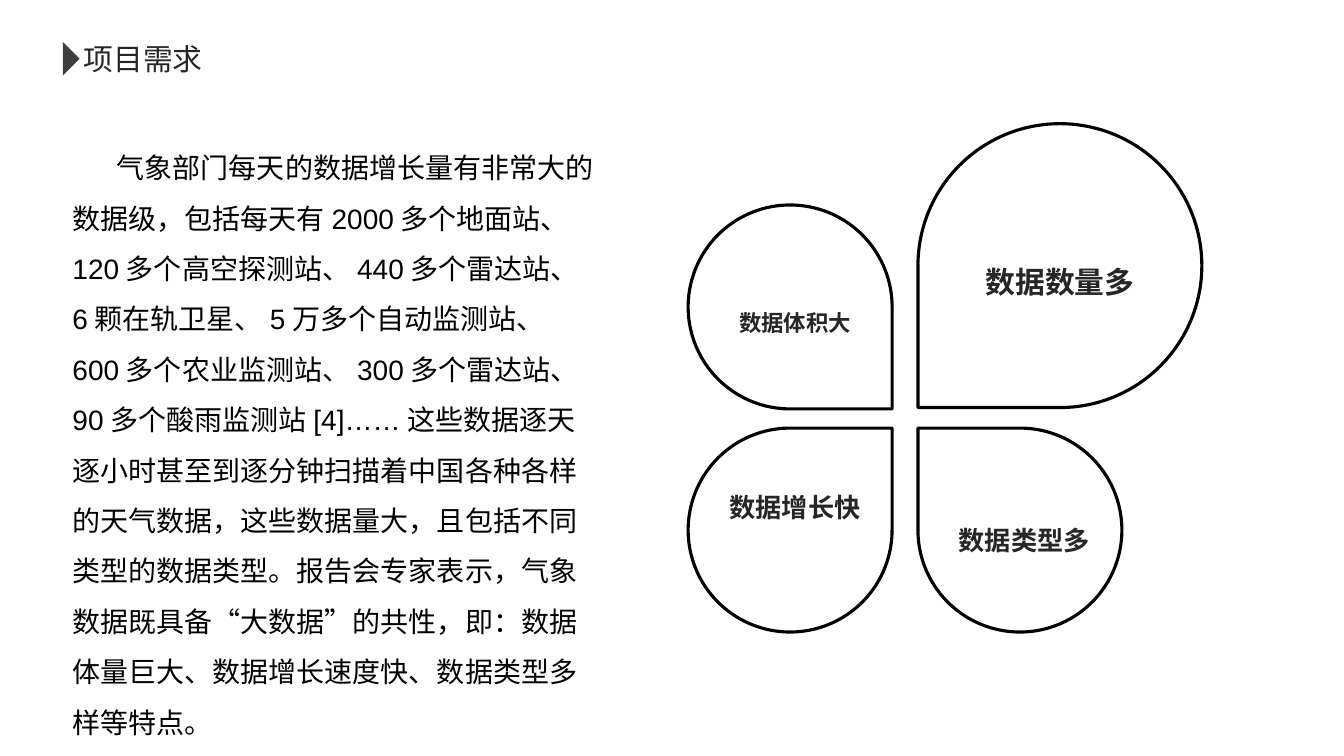
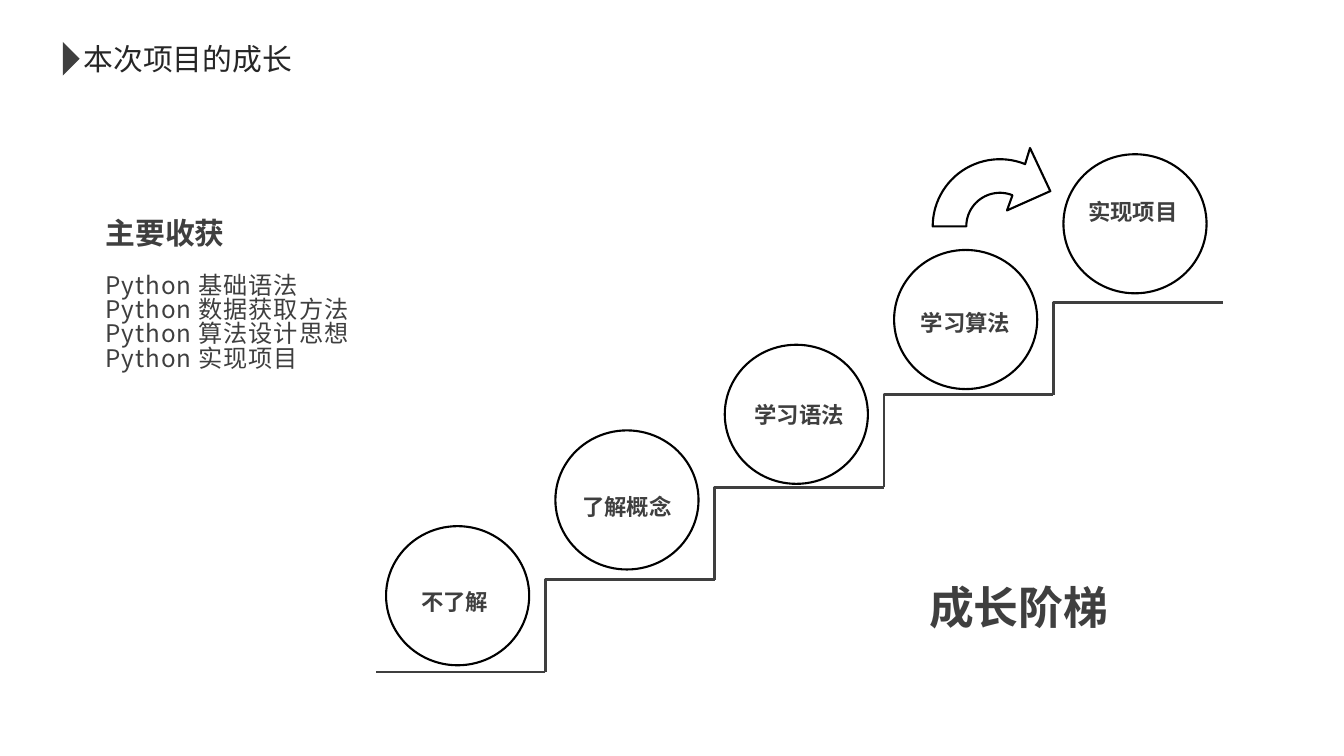
import math
from pptx import Presentation
from pptx import util as u
from pptx.dml.color import RGBColor
from pptx.enum import shapes, text as t
from pptx.oxml.ns import qn
from lxml import etree

prs = Presentation()
prs.slide_width, prs.slide_height = u.Emu(12192000), u.Emu(6858000)
g = prs.slide_width // 40
rgb = RGBColor.from_string
BLACK, DARK, GRAY, WHITE = "000000", "262626", "3F3F3F", "FFFFFF"
CJK = "Noto Sans CJK SC"
KIND = shapes.MSO_SHAPE


def text(s, box, content, tf=None, size=16, color=DARK, bold=False, font=CJK,
         align=t.PP_ALIGN.LEFT, wrap=True, leading=None, after=None, indent=0, spacing=0):
    if tf is None:
        tf = s.shapes.add_textbox(*[int(v * g) for v in box]).text_frame
        tf.word_wrap = wrap
        p = tf.paragraphs[0]
    else:
        p = tf.add_paragraph()
    p.alignment = align
    if leading:
        p.line_spacing = leading
    if after:
        p.space_after = u.Pt(after)
    if indent:
        p._p.get_or_add_pPr().set("indent", str(int(indent * g)))
    r = p.add_run()
    r.text = content
    r.font.size, r.font.bold, r.font.name = u.Pt(size), bold, font
    r.font.color.rgb = rgb(color)
    rPr = r._r.get_or_add_rPr()
    etree.SubElement(rPr, qn("a:ea")).set("typeface", CJK)
    if spacing:
        rPr.set("spc", str(int(spacing * 100)))
    return tf


def style(sp, fill=None, line=None, weight=1.5):
    sp.shadow.inherit = False
    if fill:
        sp.fill.solid()
        sp.fill.fore_color.rgb = rgb(fill)
    else:
        sp.fill.background()
    if line:
        sp.line.color.rgb = rgb(line)
        sp.line.width = u.Pt(weight)
    else:
        sp.line.fill.background()


slides = []
for title, width in [("项目需求", 4.2), ("本次项目的成长", 6.9)]:
    s = prs.slides.add_slide(prs.slide_layouts[6])
    s.background.fill.solid()
    s.background.fill.fore_color.rgb = rgb(WHITE)
    text(s, (2.2, 1.05, width, 1.4), title, size=21.3, wrap=False)
    sp = s.shapes.add_shape(KIND.ISOSCELES_TRIANGLE, *[int(v * g) for v in (1.62, 1.5, 1, 0.5)])
    sp.rotation = 90
    style(sp, fill=GRAY)
    slides.append(s)
needs, growth = slides

petals = [
    (27.32, 3.68, 8.45, 180, "数据数量多", 28.35, 7.71, 21.3),
    (27.32, 12.74, 6.07, 270, "数据类型多", 27.28, 15.45, 18.7),
    (20.48, 12.74, 6.07, 0, "数据增长快", 20.46, 14.48, 18.7),
    (20.48, 6.1, 6.07, 90, "数据体积大", 20.46, 9.04, 16),
]
for x, y, side, turn, label, lx, ly, size in petals:
    sp = needs.shapes.add_shape(KIND.TEAR, *[int(v * g) for v in (x, y, side, side)])
    sp.rotation = turn
    style(sp, line=BLACK, weight=2.25)
    text(needs, (lx, ly, 6.4, 1.3), label, size=size, bold=True, align=t.PP_ALIGN.CENTER)

text(needs, (1.86, 3.84, 16.17, 18.3),
     "气象部门每天的数据增长量有非常大的数据级，包括每天有2000多个地面站、"
     "120多个高空探测站、440多个雷达站、6颗在轨卫星、5万多个自动监测站、"
     "600多个农业监测站、300多个雷达站、90多个酸雨监测站[4]……这些数据逐天"
     "逐小时甚至到逐分钟扫描着中国各种各样的天气数据，这些数据量大，且包括不同"
     "类型的数据类型。报告会专家表示，气象数据既具备“大数据”的共性，即：数据"
     "体量巨大、数据增长速度快、数据类型多样等特点。",
     size=20, color=BLACK, font="Arial", leading=1.5, indent=1.32)

left, floor, tread, rise = 11.19, 20, 5.04, 2.75
cn = growth.shapes.add_connector(shapes.MSO_CONNECTOR.STRAIGHT, *[
    int(v * g) for v in (left + tread, floor, left, floor)])
cn.line.color.rgb = rgb(GRAY)
cn.line.width = u.Pt(2)
etree.SubElement(cn._element.spPr, qn("a:effectLst"))

steps = [
    ("不了解", 15.66, 13.53, 17.37),
    ("了解概念", 12.81, 18.66, 14.52),
    ("学习语法", 10.26, 23.79, 11.79),
    ("学习算法", 7.44, 28.74, 9.06),
    ("实现项目", 4.59, 33.72, 5.76),
]
for i, (label, top, center, ly) in enumerate(steps):
    x, y = left + i * tread, floor - i * rise
    if i:
        fb = growth.shapes.build_freeform(x * g, (y + rise) * g)
        fb.add_line_segments([(x * g, y * g), ((x + tread) * g, y * g)], close=False)
        style(fb.convert_to_shape(), line=GRAY, weight=2)
    sp = growth.shapes.add_shape(KIND.OVAL, *[int(v * g) for v in (x + 0.3, top, 4.26, 4.14)])
    style(sp, line=BLACK)
    text(growth, (center - 1.65, ly, 3.3, 1.1), label, color=GRAY, bold=True,
         align=t.PP_ALIGN.CENTER, wrap=False)

polar = [(2, a) for a in range(180, 67, -4)]
polar += [(2.5, 69), (1.83, 35), (0.52, 66)]
polar += [(1, a) for a in range(68, 181, 4)]
points = [((29.76 + r * math.cos(math.radians(a))) * g,
           (6.74 - r * math.sin(math.radians(a))) * g) for r, a in polar]
fb = growth.shapes.build_freeform(*points[0])
fb.add_line_segments(points[1:])
style(fb.convert_to_shape(), line=BLACK)

tf = text(growth, (2.85, 6.42, 12.45, 5.6), "主要收获", size=21.3, color=GRAY,
          bold=True, leading=0.84, after=17)
for gain in ("基础语法", "数据获取方法", "算法设计思想", "实现项目"):
    text(growth, None, "Python" + gain, tf=tf, size=17.3, color=GRAY, leading=0.84, spacing=0.7)
text(growth, (27.36, 17.1, 12, 1.92), "成长阶梯", size=32, color=GRAY, bold=True)

prs.save("out.pptx")
